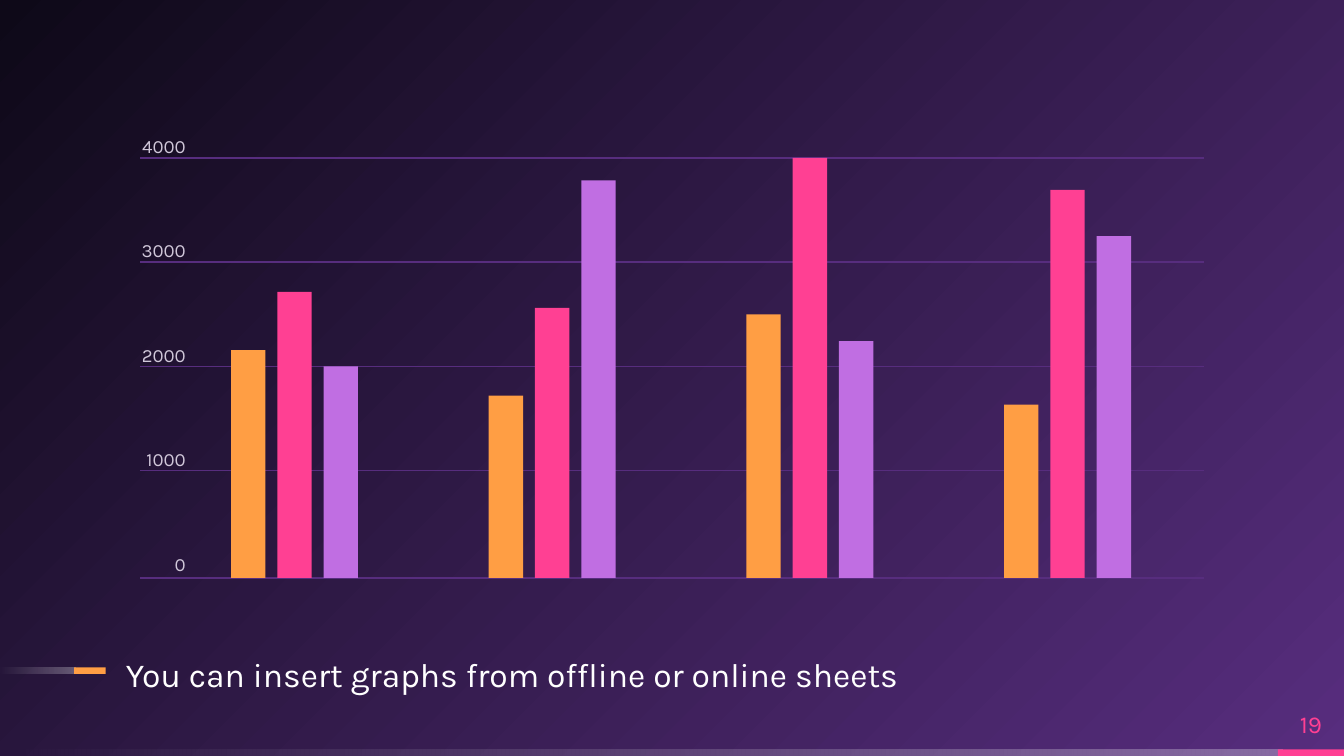
import dataclasses
import typing

import pptx
import pptx.dml.color
import pptx.enum.shapes
import pptx.enum.text
import pptx.oxml
import pptx.oxml.ns
import pptx.util

Pt = pptx.util.Pt
ALIGN = pptx.enum.text.PP_ALIGN
ANCHOR = pptx.enum.text.MSO_ANCHOR

FONT = "Karla"
WHITE, ORANGE, PINK, LILAC = "FFFFFF", "FF9E44", "FF4093", "C06EE2"
PURPLE, NIGHT, LABEL = "572D7E", "0E0918", "D1C8DA"

# Chart geometry in points
BASELINE, POINTS_PER_UNIT = 309.6, 225 / 4000
GRID_LEFT, GRID_RIGHT, GRID_TOP, GRID_STEP = 75, 645.12, 84.6, 55.8
BAR_LEFT, BAR_WIDTH, BAR_STEP, GROUP_STEP = 123.75, 18.45, 24.8, 138.04


@dataclasses.dataclass(frozen=True)
class Series:
    color: str
    values: tuple[int, ...]


@dataclasses.dataclass(frozen=True)
class Area:
    left: float
    top: float
    width: float
    height: float

    def lengths(self) -> list[int]:
        return [Pt(side) for side in dataclasses.astuple(self)]


SERIES = (
    Series(ORANGE, (2170, 1735, 2510, 1650)),
    Series(PINK, (2725, 2570, 4000, 3695)),
    Series(LILAC, (2015, 3785, 2255, 3255)),
)


def rgb(color: str) -> pptx.dml.color.RGBColor:
    return pptx.dml.color.RGBColor.from_string(color)


def set_gradient(owner: typing.Any, fill: typing.Any,
                 stops: list[tuple[str, int]], direction: str) -> None:
    """Fill with evenly spread (colour, opacity percent) stops."""
    fill.gradient()
    old = next(owner.iter(pptx.oxml.ns.qn("a:gradFill")))
    last = len(stops) - 1
    marks = "".join(
        f'<a:gs pos="{100000 * index // last}"><a:srgbClr val="{color}">'
        f'<a:alpha val="{opacity * 1000}"/></a:srgbClr></a:gs>'
        for index, (color, opacity) in enumerate(stops)
    )
    new = pptx.oxml.parse_xml(
        f'<a:gradFill {pptx.oxml.ns.nsdecls("a")} rotWithShape="1">'
        f"<a:gsLst>{marks}</a:gsLst>{direction}</a:gradFill>"
    )
    old.getparent().replace(old, new)


def add_bar(shapes: typing.Any, area: Area, color: str) -> typing.Any:
    bar = shapes.add_shape(
        pptx.enum.shapes.MSO_SHAPE.RECTANGLE, *area.lengths())
    bar.shadow.inherit = False
    bar.line.fill.background()
    bar.fill.solid()
    bar.fill.fore_color.rgb = rgb(color)
    return bar


def add_fading_bar(shapes: typing.Any, area: Area) -> None:
    bar = add_bar(shapes, area, WHITE)
    set_gradient(bar.element, bar.fill, [(WHITE, 30), (WHITE, 0)],
                 '<a:lin ang="10800000" scaled="0"/>')


def add_grid_line(shapes: typing.Any, height: float) -> None:
    line = shapes.add_connector(
        pptx.enum.shapes.MSO_CONNECTOR.STRAIGHT,
        Pt(GRID_LEFT), Pt(height), Pt(GRID_RIGHT), Pt(height))
    line.line.color.rgb = rgb(PURPLE)
    line.line.width = Pt(0.75)
    properties = line.element.find(pptx.oxml.ns.qn("p:spPr"))
    properties.append(pptx.oxml.parse_xml(
        f'<a:effectLst {pptx.oxml.ns.nsdecls("a")}/>'))


def prepare_frame(box: typing.Any, anchor: ANCHOR) -> typing.Any:
    frame = box.text_frame
    frame.word_wrap = True
    frame.auto_size = pptx.enum.text.MSO_AUTO_SIZE.NONE
    frame.vertical_anchor = anchor
    frame.margin_left = frame.margin_right = 0
    frame.margin_top = frame.margin_bottom = 0
    return frame


def add_span(para: typing.Any, text: str, size: float, color: str) -> None:
    span = para.add_run()
    span.text = text
    span.font.name = FONT
    span.font.size = Pt(size)
    span.font.color.rgb = rgb(color)


def add_caption(page: typing.Any, text: str) -> None:
    box = page.placeholders[1]
    box.left, box.top, box.width, box.height = Area(
        67.5, 347, 585.5, 24.5).lengths()
    para = prepare_frame(box, ANCHOR.TOP).paragraphs[0]
    properties = para._p.get_or_add_pPr()
    properties.set("marL", "0")
    properties.set("indent", "0")
    properties.append(pptx.oxml.parse_xml(
        f'<a:buNone {pptx.oxml.ns.nsdecls("a")}/>'))
    para.alignment = ALIGN.LEFT
    para.line_spacing = 1.15
    para.space_before = Pt(0)
    para.space_after = Pt(8)
    add_span(para, text, 18, WHITE)


def add_axis_labels(shapes: typing.Any) -> None:
    box = shapes.add_textbox(*Area(GRID_LEFT, 72, 24.5, 238.3).lengths())
    frame = prepare_frame(box, ANCHOR.TOP)
    for index, value in enumerate(range(4000, -1, -1000)):
        para = frame.add_paragraph() if index else frame.paragraphs[0]
        para.alignment = ALIGN.RIGHT
        if index:
            para.space_before = Pt(44)
        add_span(para, str(value), 10, LABEL)


def main() -> None:
    deck = pptx.Presentation()
    deck.slide_width, deck.slide_height = Pt(720), Pt(405)
    page = deck.slides.add_slide(deck.slide_layouts[1])
    title = page.shapes.title.element
    title.getparent().remove(title)

    # Background glowing from the lower right corner
    set_gradient(
        page.background._cSld, page.background.fill,
        [(PURPLE, 100), (NIGHT, 100)],
        '<a:path path="circle"><a:fillToRect l="100000" t="100000"/></a:path>'
        '<a:tileRect r="-100000" b="-100000"/>')

    # Footer strip and page number
    add_fading_bar(page.shapes, Area(0, 401.4, 686.9, 3.6))
    add_bar(page.shapes, Area(684.6, 401.4, 35.4, 3.6), PINK)
    box = page.shapes.add_textbox(*Area(684.6, 374, 35.4, 27.4).lengths())
    para = prepare_frame(box, ANCHOR.MIDDLE).paragraphs[0]
    para.alignment = ALIGN.CENTER
    add_span(para, "19", 13, PINK)

    # Caption with its marker
    marker = page.shapes.add_group_shape()
    add_fading_bar(marker.shapes, Area(0, 357.5, 40.3, 3.5))
    add_bar(marker.shapes, Area(39.7, 357.5, 16.9, 3.5), ORANGE)
    add_caption(page, "You can insert graphs from offline or online sheets")

    # Grid and axis
    for index in range(4):
        add_grid_line(page.shapes, GRID_TOP + index * GRID_STEP)
    add_grid_line(page.shapes, BASELINE)
    add_axis_labels(page.shapes)

    # Bars, group by group
    for group, values in enumerate(zip(*(series.values for series in SERIES))):
        for index, (series, value) in enumerate(zip(SERIES, values)):
            left = BAR_LEFT + group * GROUP_STEP + index * BAR_STEP
            height = value * POINTS_PER_UNIT
            add_bar(page.shapes,
                    Area(left, BASELINE - height, BAR_WIDTH, height),
                    series.color)

    deck.save("out.pptx")


if __name__ == "__main__":
    main()
